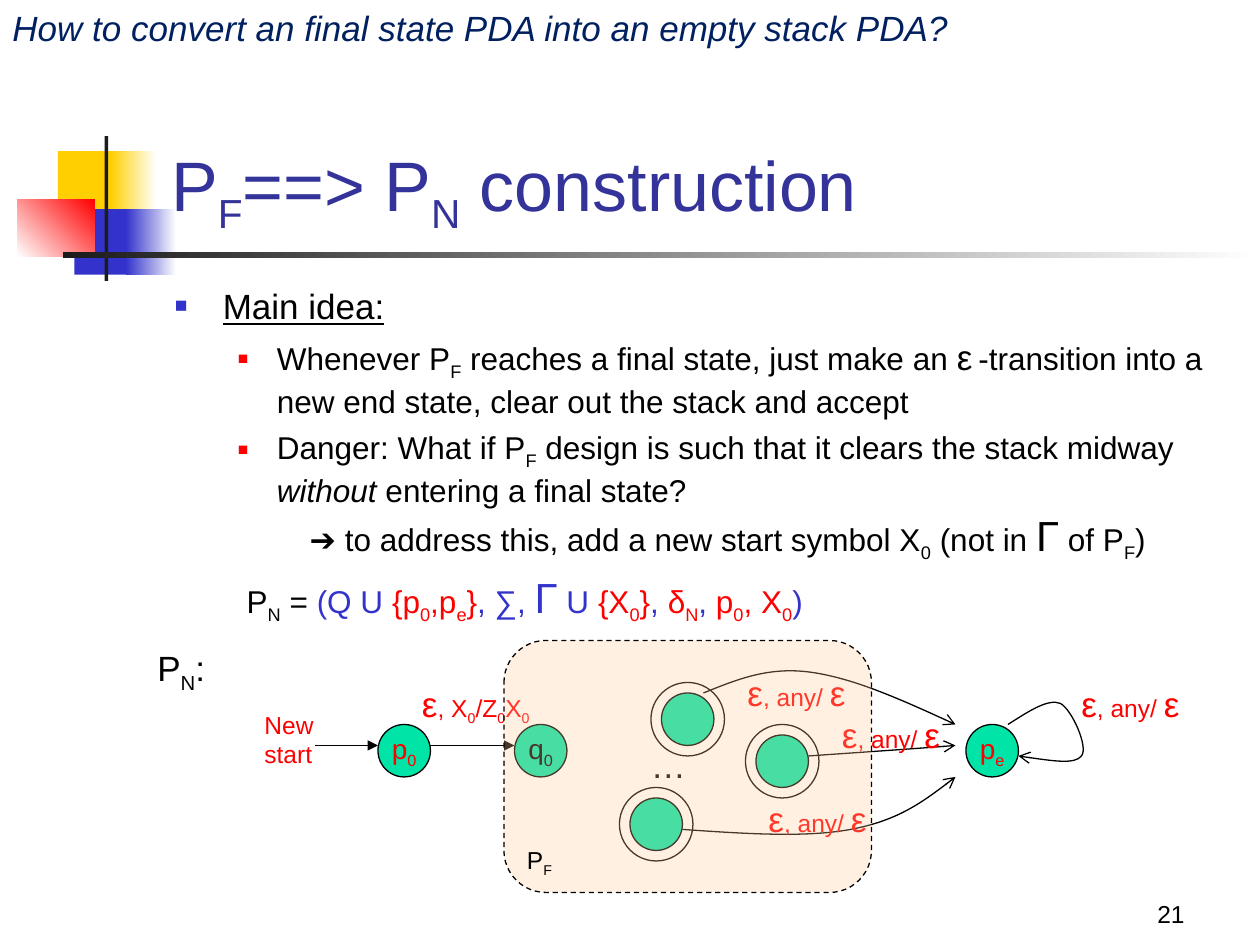
from pptx import Presentation
from pptx.dml.color import RGBColor
from pptx.enum.dml import MSO_LINE
from pptx.enum.shapes import MSO_CONNECTOR, MSO_SHAPE
from pptx.enum.text import MSO_ANCHOR, PP_ALIGN
from pptx.oxml import parse_xml
from pptx.oxml.ns import nsdecls, qn
from pptx.util import Emu, Inches, Pt

RECT, OVAL, ROUNDED = MSO_SHAPE.RECTANGLE, MSO_SHAPE.OVAL, MSO_SHAPE.ROUNDED_RECTANGLE
STRAIGHT, DASH = MSO_CONNECTOR.STRAIGHT, MSO_LINE.DASH
TOP, MIDDLE, BOTTOM = MSO_ANCHOR.TOP, MSO_ANCHOR.MIDDLE, MSO_ANCHOR.BOTTOM
LEFT, CENTER, RIGHT = PP_ALIGN.LEFT, PP_ALIGN.CENTER, PP_ALIGN.RIGHT

BLACK = RGBColor(0x00, 0x00, 0x00)
WHITE = RGBColor(0xFF, 0xFF, 0xFF)
CHARCOAL = RGBColor(0x1C, 0x1C, 0x1C)
YELLOW = RGBColor(0xFF, 0xCF, 0x01)
BLUE = RGBColor(0x33, 0x33, 0xCC)
TITLE_BLUE = RGBColor(0x33, 0x33, 0x99)
NAVY = RGBColor(0x00, 0x20, 0x60)
RED = RGBColor(0xFF, 0x00, 0x00)
GREEN = RGBColor(0x00, 0xE4, 0xA8)
PEACH = RGBColor(0xFF, 0xCC, 0x99)

UNIT = 1 / 12  # diagram grid step in inches


def write(paragraph, runs, **base):
    """Add (text, format) runs; text between tildes is subscript, a newline breaks the line."""
    for text, extra in runs:
        for number, piece in enumerate(text.split("~")):
            for line_number, line in enumerate(piece.split("\n")):
                if line_number:
                    paragraph.add_line_break()
                if not line:
                    continue
                run = paragraph.add_run()
                run.text = line
                style = {"name": "Arial", "color": BLACK, **base, **extra}
                run.font.color.rgb = style.pop("color")
                style["size"] = Pt(style["size"])
                for attribute, value in style.items():
                    setattr(run.font, attribute, value)
                if number % 2:
                    run._r.get_or_add_rPr().set("baseline", "-25000")


def add_text(slide, box, runs, wrap=False, anchor=TOP, align=LEFT, **base):
    frame = slide.shapes.add_textbox(*map(Inches, box)).text_frame
    frame.word_wrap = wrap
    frame.vertical_anchor = anchor
    frame.paragraphs[0].alignment = align
    write(frame.paragraphs[0], runs, **base)
    return frame


def add_block(slide, kind, box, fill=None, fade=None, angle=0, outline=None):
    block = slide.shapes.add_shape(kind, *map(Inches, box))
    block.shadow.inherit = False
    if fade:
        block.fill.gradient()
        block.fill.gradient_angle = angle
        for stop, color in zip(block.fill.gradient_stops, fade):
            stop.color.rgb = color
    elif fill is not None:
        block.fill.solid()
        block.fill.fore_color.rgb = fill
    else:
        block.fill.background()
    if outline is None:
        block.line.fill.background()
    else:
        block.line.color.rgb = outline
        block.line.width = Pt(0.75)
    return block


def finish_line(line, head):
    """Thin black stroke with an arrowhead at its end."""
    line.line.color.rgb = BLACK
    line.line.width = Pt(0.75)
    line.line._get_or_add_ln().append(
        parse_xml(f'<a:tailEnd {nsdecls("a")} type="{head}"/>'))


def add_ornament(slide, left, top):
    """Coloured squares and crossing bars beside the title."""
    parts = [
        ((0.32, 0.12, 0.48, 0.52), {"fill": YELLOW}),
        ((0.74, 0.12, 0.36, 0.52), {"fade": (YELLOW, WHITE)}),
        ((0.45, 0.58, 0.46, 0.52), {"fill": BLUE}),
        ((0.86, 0.58, 0.40, 0.52), {"fade": (BLUE, WHITE)}),
        ((0, 0.5, 0.61, 0.46), {"fade": (WHITE, RED), "angle": 45}),
        ((0.69, 0, 0.03, 1.15), {"fill": CHARCOAL}),
        ((0.36, 0.92, 9.5, 0.05), {"fade": (CHARCOAL, WHITE)}),
    ]
    for (x, y, width, height), paint in parts:
        add_block(slide, RECT, (left + x, top + y, width, height), **paint)


def add_bullet(paragraph, margin, hang, color=None, percent=None):
    properties = paragraph._p.get_or_add_pPr()
    properties.set("marL", str(Inches(margin)))
    properties.set("indent", str(-Inches(hang)))
    if color is None:
        properties.append(parse_xml(f'<a:buNone {nsdecls("a")}/>'))
        return
    for tag in (f'buClr {nsdecls("a")}><a:srgbClr val="{color}"/></a:buClr',
                f'buSzPct {nsdecls("a")} val="{percent}000"/',
                f'buFont {nsdecls("a")} typeface="Arial"/',
                f'buChar {nsdecls("a")} char="■"/'):
        properties.append(parse_xml(f"<a:{tag}>"))


def add_body(slide, box):
    blue, red, gamma = {"color": BLUE}, {"color": RED}, {"size": 24}
    main, point, formula = (0.38, 0.38, BLUE, 60), (0.81, 0.31, RED, 55), (0.81, 0.31)
    outline = [
        (main, 20, [("Main idea:", {"underline": True})]),
        (point, 18, [("Whenever P~F~ reaches a final state, just make an ", {}),
                     ("ε", {"size": 20}), (" ", {"size": 12}),
                     ("-transition into a new end state, clear out the stack and accept", {})]),
        (point, 18, [("Danger: What if P~F~ design is such that it clears the stack midway ", {}),
                     ("without ", {"italic": True}),
                     ("entering a final state?\n\t ➔ to address this, add a new start symbol "
                      "X~0~ (not in ", {}), ("Γ", gamma), (" of P~F~)", {})]),
        (formula, 18, [(" P~N~ = ", {}), ("(Q U ", blue), ("{p~0~,p~e~}", red), (", ∑, ", blue),
                       ("Γ", {**blue, **gamma}), (" U ", blue), ("{X~0~}", red), (", ", blue),
                       ("δ~N~", red), (", ", blue), ("p~0~, X~0~", red), (")", blue)]),
    ]
    frame = add_text(slide, box, [], wrap=True)
    for number, (bullet, size, runs) in enumerate(outline):
        paragraph = frame.paragraphs[0] if number == 0 else frame.add_paragraph()
        add_bullet(paragraph, *bullet)
        if number:
            paragraph.space_before = Pt(5)
        write(paragraph, runs, size=size)


def add_automaton(slide, left, top):
    """State diagram of the new automaton, laid out in grid units from its corner."""
    def place(column, row):
        return left + column * UNIT, top + row * UNIT

    def state(column, row, name="", color=BLACK):
        circle = add_block(slide, OVAL, (*place(column, row), 5 * UNIT, 5 * UNIT), GREEN,
                           outline=BLACK)
        frame = circle.text_frame
        frame.word_wrap = False
        frame.vertical_anchor = MIDDLE
        frame.paragraphs[0].alignment = CENTER
        write(frame.paragraphs[0], [(name, {})], size=16, color=color)

    def label(column, row, width, height, runs, **style):
        add_text(slide, (*place(column, row), width, height), runs, **style)

    def arrow(start, end, row):
        ends = [*place(start, row), *place(end, row)]
        line = slide.shapes.add_connector(STRAIGHT, *map(Inches, ends))
        line._element.spPr.append(parse_xml(f'<a:effectLst {nsdecls("a")}/>'))
        finish_line(line, "triangle")

    def curve(points):
        """Draw a chain of cubic Béziers through a start and triples of points."""
        start, *rest = [tuple(map(Inches, place(*point))) for point in points]
        builder = slide.shapes.build_freeform(*start, scale=1.0)
        builder.add_line_segments(rest, close=False)
        shape = builder.convert_to_shape(Emu(0), Emu(0))
        shape.shadow.inherit = False
        shape.fill.background()
        steps = list(shape._element.iter(qn("a:lnTo")))
        for first in range(0, len(steps), 3):
            bezier = parse_xml(f'<a:cubicBezTo {nsdecls("a")}/>')
            steps[first].addprevious(bezier)
            for step in steps[first:first + 3]:
                bezier.append(step[0])
                step.getparent().remove(step)
        finish_line(shape, "arrow")

    epsilon = ("ε", {"size": 20})
    any_symbol = [epsilon, (", any/ ", {}), epsilon]
    red_label = {"size": 14, "color": RED}

    # New start state
    state(12, 8, "p~0~", RED)
    arrow(6, 12, 10)
    label(15, 3.4, 1.09, 0.44, [epsilon, (", X~0~/Z~0~X~0~", {})], **red_label)
    label(0, 6, 0.65, 0.57, [("New \nstart", {})], **red_label)

    # Moves from final states to the end state, and its loop
    curve([(43, 5), (46, 3.8), (49, 2.5), (53, 3), (57, 3.5), (62, 5.7), (67, 8)])
    curve([(41, 18), (46.8, 18.4), (52.7, 18.8), (57, 18), (61.3, 17.2), (64.2, 15.2), (67, 13)])
    curve([(53, 11), (58.8, 10.6), (64.7, 10.2), (67, 10)])
    curve([(72, 8), (73.9, 6.8), (75.8, 5.5), (77, 6), (78.1, 6.6), (79.7, 10.2), (79, 11),
           (78.4, 11.8), (75.7, 11.4), (73, 11)])
    for column, row in ((46, 2.4), (55, 6.4), (48, 14.4), (77.8, 3.4)):
        label(column, row, 1.02, 0.43, any_symbol, **red_label)
    state(68, 8, "p~e~", RED)

    # Inner automaton: start state and ringed final states
    state(25, 8, "q~0~")
    arrow(17, 25, 10)
    for column, row in ((39, 5), (36, 15), (48, 9)):
        state(column, row)
        add_block(slide, OVAL, (*place(column - 1, row - 1), 7 * UNIT, 7 * UNIT), outline=BLACK)
    label(36.8, 9.2, 0.48, 0.43, [("…", {})], size=20)

    # Translucent frame over the inner automaton
    frame = add_block(slide, ROUNDED, (*place(24, 0), 35 * UNIT, 24 * UNIT), PEACH, outline=BLACK)
    frame.line.dash_style = DASH
    tint = next(frame._element.spPr.iter(qn("a:srgbClr")))
    tint.append(parse_xml(f'<a:alpha {nsdecls("a")} val="28000"/>'))
    label(25, 18.9, 0.41, 0.33, [("P~F~", {})], size=14)
    label(-10.2, 0, 0.59, 0.43, [("P~N~:", {})], size=20)


def main():
    deck = Presentation()
    deck.slide_width, deck.slide_height = Inches(10), Inches(7.5)
    slide = deck.slides.add_slide(deck.slide_layouts[6])
    add_ornament(slide, 0.14, 1.08)
    add_text(slide, (7.42, 6.92, 2.08, 0.5), [("21", {})], wrap=True, anchor=BOTTOM,
             align=RIGHT, size=14)
    add_text(slide, (1.26, 0.68, 8.52, 1.25), [("P~F~==> P~N~ construction", {})], wrap=True,
             anchor=BOTTOM, size=40, color=TITLE_BLUE)
    add_body(slide, (1.29, 2.21, 8.5, 2.71))
    add_automaton(slide, 2, 61 * UNIT)
    add_text(slide, (0, 0, 7.68, 0.44),
             [("How to convert an final state PDA into an empty stack PDA?", {})],
             size=20, color=NAVY, italic=True)
    deck.save("out.pptx")


if __name__ == "__main__":
    main()
